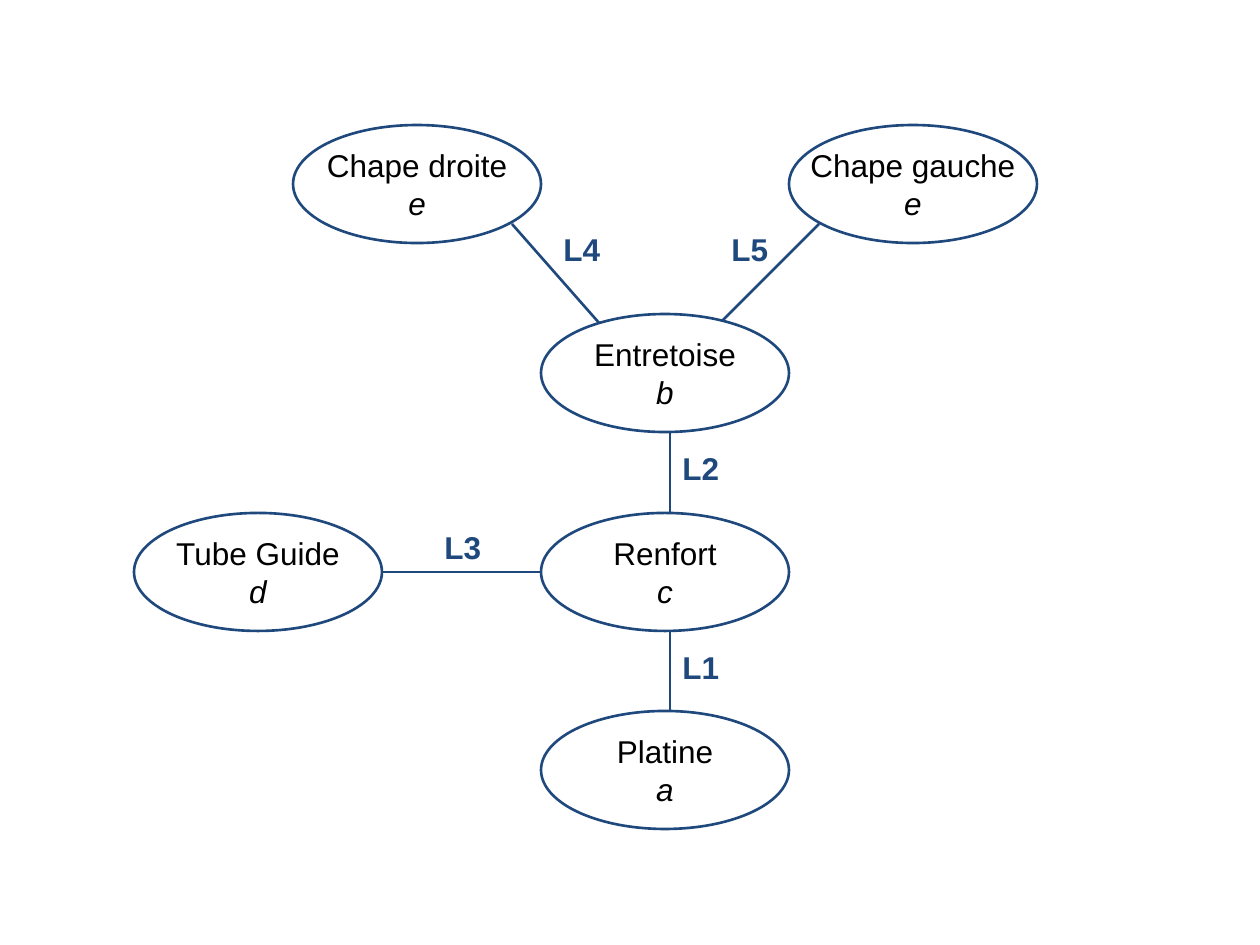
"""Build the linkage graph of the parts and their joints L1 to L5."""
from pptx import Presentation
from pptx.dml.color import RGBColor as RGB
from pptx.enum.shapes import MSO_CONNECTOR as CONN, MSO_SHAPE as SHAPE
from pptx.enum.text import MSO_ANCHOR as ANCHOR, MSO_AUTO_SIZE as AUTO, PP_ALIGN as ALIGN
from pptx.oxml.ns import qn
from pptx.util import Pt
from lxml.etree import SubElement

THEME = {
    "blue": RGB(0x1F, 0x49, 0x7D),
    "black": RGB(0, 0, 0),
    "white": RGB(255, 255, 255),
    "font": "Arial",
    "size": Pt(18),
    "line": Pt(1.5),
}
PX = 914400 / 126
NODE_W, NODE_H = 248, 118
LABEL_W, LABEL_H = 62, 51
HUB_X = 541


def emu(*lengths):
    return [round(n * PX) for n in lengths]


def add_run(p, text, color, **styles):
    r = p.add_run()
    r.text = text
    r.font.color.rgb = color
    formats = {"name": THEME["font"], "size": THEME["size"], **styles}
    for name, value in formats.items():
        setattr(r.font, name, value)


prs = Presentation()
prs.slide_width, prs.slide_height = emu(1260, 945)
s = prs.slides.add_slide(prs.slide_layouts[6])

links = [
    (512, 224, 600, 324),
    (719, 324, 819, 224),
    (670, 513, 670, 433),
    (670, 711, 670, 631),
    (382, 572, 541, 572),
]
for ends in links:
    line = s.shapes.add_connector(CONN.STRAIGHT, *emu(*ends))
    line.line.color.rgb = THEME["blue"]
    line.line.width = THEME["line"]
    SubElement(line._element.spPr, qn("a:effectLst"))

nodes = [
    ("Chape gauche", "e", HUB_X + NODE_W, 125, False),
    ("Chape droite", "e", HUB_X - NODE_W, 125, False),
    ("Renfort", "c", HUB_X, 513, False),
    ("Tube Guide", "d", 134, 513, False),
    ("Platine", "a", HUB_X, 711, False),
    ("Entretoise", "b", HUB_X, 314, True),
]
for name, symbol, x, y, filled in nodes:
    sp = s.shapes.add_shape(SHAPE.OVAL, *emu(x, y, NODE_W, NODE_H))
    sp.shadow.inherit = False
    if filled:
        sp.fill.solid()
        sp.fill.fore_color.rgb = THEME["white"]
    else:
        sp.fill.background()
    sp.line.color.rgb = THEME["blue"]
    sp.line.width = THEME["line"]
    tf = sp.text_frame
    tf.word_wrap = False
    tf.vertical_anchor = ANCHOR.MIDDLE
    for p, text, italic in ((tf.paragraphs[0], name, False), (tf.add_paragraph(), symbol, True)):
        p.alignment = ALIGN.CENTER
        add_run(p, text, THEME["black"], italic=italic)

labels = [
    ("L4", 551, 224),
    ("L5", 719, 224),
    ("L2", 670, 443),
    ("L1", 670, 642),
    ("L3", 432, 522),
]
for text, x, y in labels:
    tf = s.shapes.add_textbox(*emu(x, y, LABEL_W, LABEL_H)).text_frame
    tf.word_wrap = False
    tf.auto_size = AUTO.SHAPE_TO_FIT_TEXT
    add_run(tf.paragraphs[0], text, THEME["blue"], bold=True)

prs.save("out.pptx")
